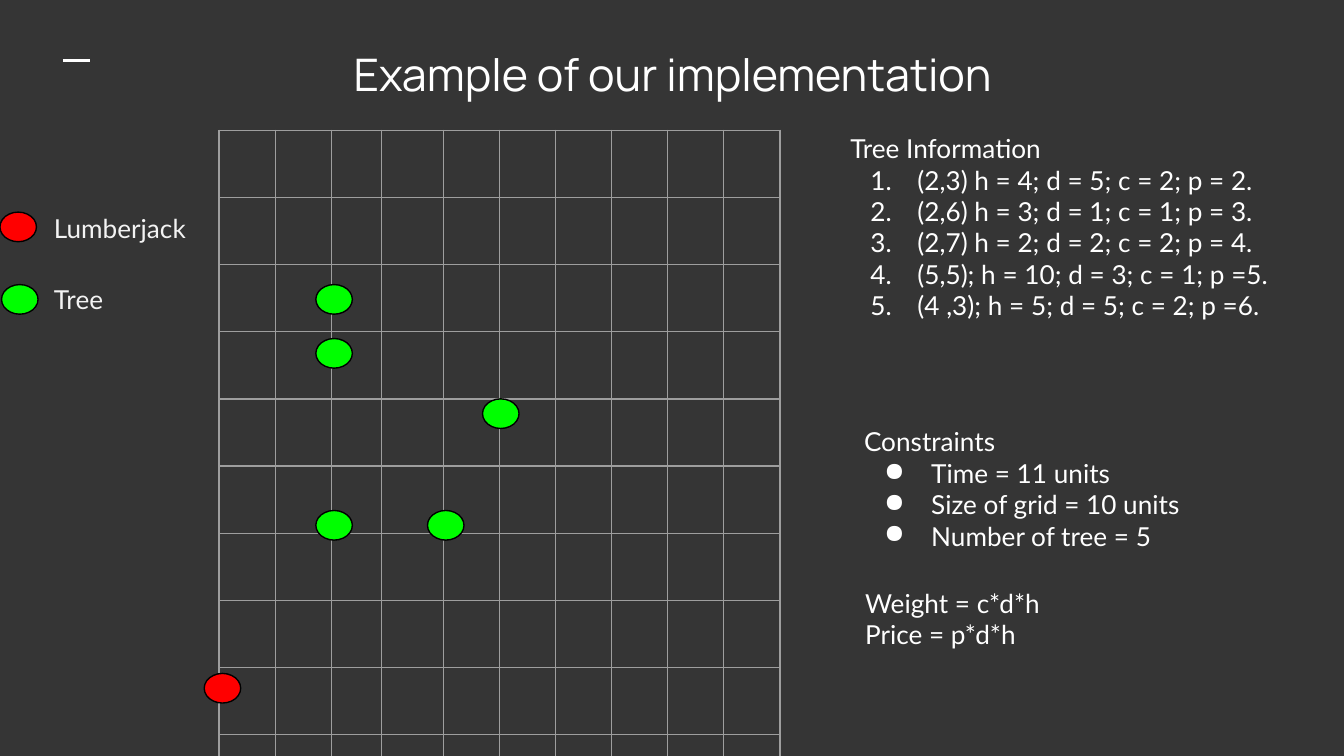
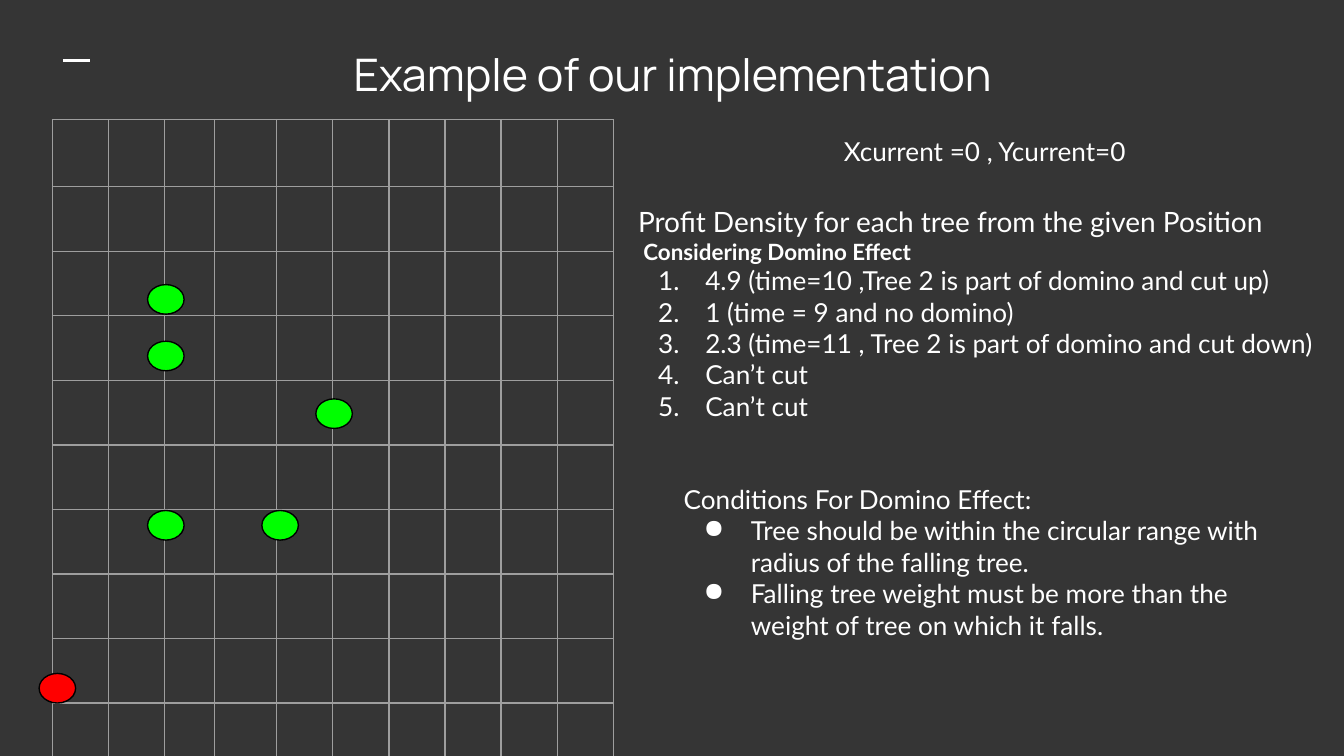
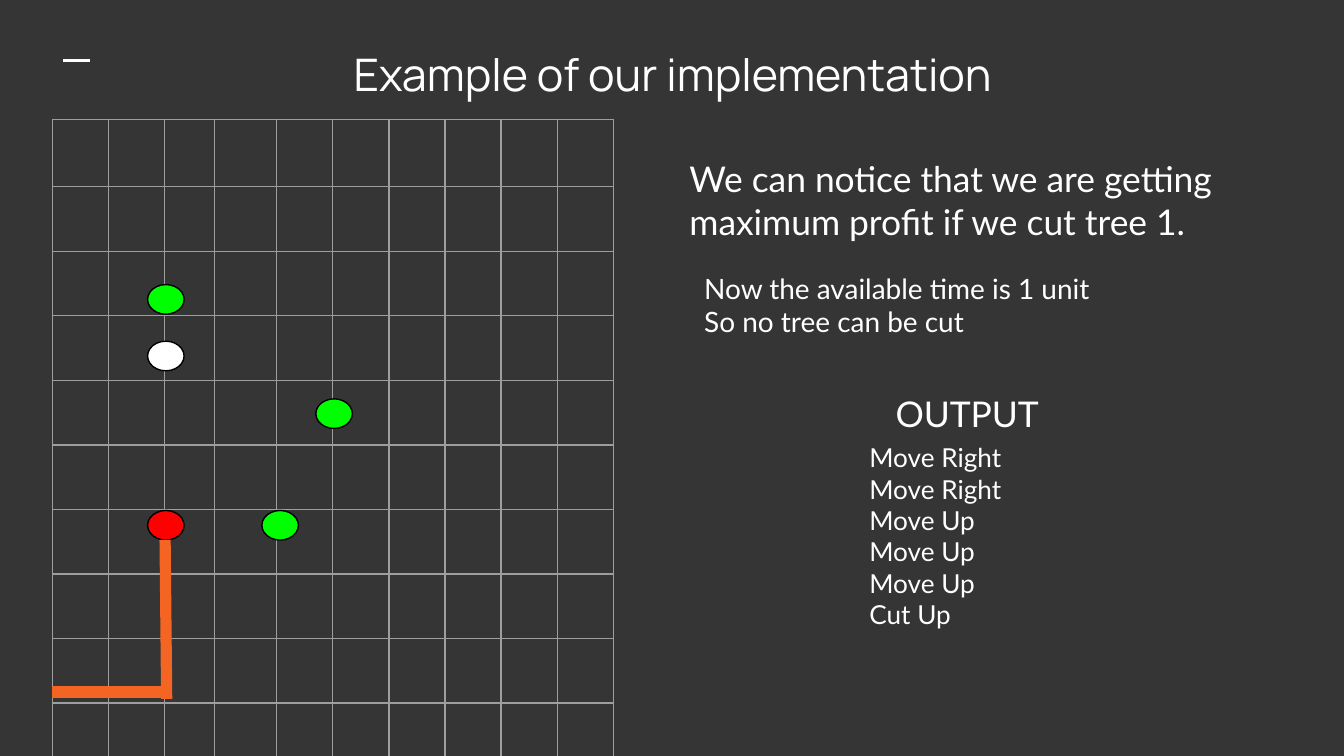
"""Build three slides that walk through a tree-cutting example on a grid."""
from lxml.etree import SubElement
from pptx import Presentation
from pptx.dml.color import RGBColor
from pptx.enum.shapes import MSO_CONNECTOR, MSO_SHAPE
from pptx.enum.text import PP_ALIGN
from pptx.oxml.ns import qn
from pptx.util import Cm, Pt

COLORS = {
    "background": "353535",
    "text": "FFFFFF",
    "legend": "F3F3F3",
    "grid": "9E9E9E",
    "outline": "000000",
    "tree": "00FF00",
    "lumberjack": "FF0000",
    "fallen": "FFFFFF",
    "route": "F46524",
}
STYLES = {
    "title": {"size": 24, "font": "Manrope", "align": PP_ALIGN.CENTER},
    "large": {"size": 19},
    "output": {"size": 19, "align": PP_ALIGN.CENTER},
    "medium": {"size": 15},
    "small": {"size": 12, "bold": True, "indent": 0.1},
    "body": {"size": 14},
    "legend": {"size": 14, "indent": 0.77, "color": "legend"},
    "number": {"size": 14, "indent": 1.27, "marker": ("a:buAutoNum", {"type": "arabicPeriod"})},
    "bullet": {"size": 14, "indent": 1.27, "marker": ("a:buChar", {"char": "●"})},
}
COLUMN_WIDTHS = [1.06, 1.06, 0.95, 1.17] + [1.06] * 6
MARKER_WIDTH, MARKER_HEIGHT = 0.69, 0.56
HANGING = 0.89
TITLE = ((0.74, 0.64, 23.95, 1.4), [("title", "Example of our implementation")])

WIDE_GRID = {"left": 4.14, "top": 2.46, "rows": [1.27] * 10}
LEFT_GRID = {"left": 0.99, "top": 2.26, "rows": [1.27] + [1.22] * 9}

SLIDES = [
    {
        "grid": WIDE_GRID,
        "markers": [
            ("tree", 5.97, 6.4), ("tree", 5.97, 9.65), ("tree", 5.97, 5.38),
            ("tree", 9.12, 7.54), ("tree", 8.08, 9.65), ("lumberjack", 3.86, 12.73),
            ("lumberjack", 0, 4.01), ("tree", 0.03, 5.38),
        ],
        "route": [],
        "texts": [
            ((15.82, 2.26, 9.32, 4.7), [
                ("body", "Tree Information"),
                ("number", "(2,3) h = 4; d = 5; c = 2; p = 2."),
                ("number", "(2,6) h = 3; d = 1; c = 1; p = 3."),
                ("number", "(2,7) h = 2; d = 2; c = 2; p = 4."),
                ("number", "(5,5); h = 10; d = 3; c = 1; p =5."),
                ("number", "(4 ,3); h = 5; d = 5; c = 2; p =6."),
            ]),
            ((16.08, 7.8, 9.32, 2.9), [
                ("body", "Constraints"),
                ("bullet", "Time = 11 units"),
                ("bullet", "Size of grid = 10 units"),
                ("bullet", "Number of tree = 5"),
            ]),
            ((16.1, 10.85, 8.84, 1.7), [
                ("body", "Weight = c*d*h"),
                ("body", "Price = p*d*h"),
            ]),
            ((0, 3.76, 3.86, 1.12), [("legend", "Lumberjack")]),
            ((0, 5.11, 3.86, 1.12), [("legend", "Tree")]),
        ],
    },
    {
        "grid": LEFT_GRID,
        "markers": [
            ("tree", 2.79, 6.45), ("tree", 2.79, 9.65), ("tree", 2.79, 5.38),
            ("tree", 5.97, 7.54), ("tree", 4.95, 9.65), ("lumberjack", 0.74, 12.73),
        ],
        "route": [],
        "texts": [
            ((15.7, 2.31, 7.77, 1.12), [("body", "Xcurrent =0 , Ycurrent=0")]),
            ((11.81, 3.61, 13.46, 4.65), [
                ("medium", "Profit Density for each tree from the given Position"),
                ("small", "Considering Domino Effect"),
                ("number", "4.9 (time=10 ,Tree 2 is part of domino and cut up)"),
                ("number", "1 (time = 9 and no domino)"),
                ("number", "2.3 (time=11 , Tree 2 is part of domino and cut down)"),
                ("number", "Can’t cut"),
                ("number", "Can’t cut"),
            ]),
            ((12.67, 8.89, 11.76, 4.11), [
                ("body", "Conditions For Domino Effect:"),
                ("bullet", "Tree should be within the circular range with radius of the falling tree."),
                ("bullet", "Falling tree weight must be more than the weight of tree on which it falls."),
            ]),
        ],
    },
    {
        "grid": LEFT_GRID,
        "markers": [
            ("fallen", 2.79, 6.45), ("lumberjack", 2.79, 9.65), ("tree", 2.79, 5.38),
            ("tree", 5.97, 7.54), ("tree", 4.95, 9.65),
        ],
        "route": [
            (0.99, 13.08, 2.06, 13.08),
            (2.06, 13.08, 3.12, 13.08),
            (3.15, 13.21, 3.12, 10.21),
        ],
        "texts": [
            ((12.78, 2.72, 11.38, 2.13), [
                ("large", "We can notice that we are getting maximum profit if we cut tree 1."),
            ]),
            ((13.06, 4.88, 9.5, 1.8), [
                ("medium", "Now the available time is 1 unit"),
                ("medium", "So no tree can be cut"),
            ]),
            ((13.39, 7.16, 9.78, 1.32), [("output", "OUTPUT")]),
            ((16.18, 8.1, 4.57, 4.7), [
                ("body", move)
                for move in ["Move Right"] * 2 + ["Move Up"] * 3 + ["Cut Up"]
            ]),
        ],
    },
]


def add_text(slide, place, lines):
    box = slide.shapes.add_textbox(*map(Cm, place))
    frame = box.text_frame
    frame.word_wrap = True
    frame.margin_left = frame.margin_right = Cm(0.25)
    frame.margin_top = frame.margin_bottom = Cm(0.25)
    frame.text = "\n".join(text for _, text in lines)
    for para, (name, _) in zip(frame.paragraphs, lines):
        style = STYLES[name]
        color = COLORS[style.get("color", "text")]
        para.alignment = style.get("align", PP_ALIGN.LEFT)
        properties = para._p.get_or_add_pPr()
        properties.set("marL", str(Cm(style.get("indent", 0))))
        if "marker" in style:
            properties.set("indent", str(-Cm(HANGING)))
            tag, attributes = style["marker"]
            marker_color = SubElement(properties, qn("a:buClr"))
            SubElement(marker_color, qn("a:srgbClr"), val=color)
            SubElement(properties, qn(tag), attributes)
        for span in para.runs:
            span.font.name = style.get("font", "Lato")
            span.font.size = Pt(style["size"])
            span.font.bold = style.get("bold", False)
            span.font.color.rgb = RGBColor.from_string(color)


def add_line(slide, ends, color, width):
    line = slide.shapes.add_connector(MSO_CONNECTOR.STRAIGHT, *map(Cm, ends))
    line.line.color.rgb = RGBColor.from_string(COLORS[color])
    line.line.width = Pt(width)
    SubElement(line._element.spPr, qn("a:effectLst"))


deck = Presentation()
deck.slide_width, deck.slide_height = Cm(25.4), Cm(14.29)
backdrop = deck.slide_master.background.fill
backdrop.solid()
backdrop.fore_color.rgb = RGBColor.from_string(COLORS["background"])

for content in SLIDES:
    slide = deck.slides.add_slide(deck.slide_layouts[6])
    add_line(slide, (1.19, 1.14, 1.7, 1.14), "text", 1.5)
    add_text(slide, *TITLE)

    grid = content["grid"]
    table = slide.shapes.add_table(
        len(grid["rows"]), len(COLUMN_WIDTHS), Cm(grid["left"]), Cm(grid["top"]),
        Cm(sum(COLUMN_WIDTHS)), Cm(sum(grid["rows"])),
    ).table
    table.first_row = table.horz_banding = False
    for column, width in zip(table.columns, COLUMN_WIDTHS):
        column.width = Cm(width)
    for row, height in zip(table.rows, grid["rows"]):
        row.height = Cm(height)
    for cell in table.iter_cells():
        properties = cell._tc.get_or_add_tcPr()
        for side in ("L", "R", "T", "B"):
            border = SubElement(properties, qn(f"a:ln{side}"), w=str(Pt(0.75)))
            border_fill = SubElement(border, qn("a:solidFill"))
            SubElement(border_fill, qn("a:srgbClr"), val=COLORS["grid"])
        cell.fill.background()

    for kind, left, top in content["markers"]:
        marker = slide.shapes.add_shape(
            MSO_SHAPE.OVAL, Cm(left), Cm(top), Cm(MARKER_WIDTH), Cm(MARKER_HEIGHT)
        )
        marker.shadow.inherit = False
        marker.fill.solid()
        marker.fill.fore_color.rgb = RGBColor.from_string(COLORS[kind])
        marker.line.color.rgb = RGBColor.from_string(COLORS["outline"])
        marker.line.width = Pt(0.75)

    for ends in content["route"]:
        add_line(slide, ends, "route", 6)
    for place, lines in content["texts"]:
        add_text(slide, place, lines)

deck.save("out.pptx")
